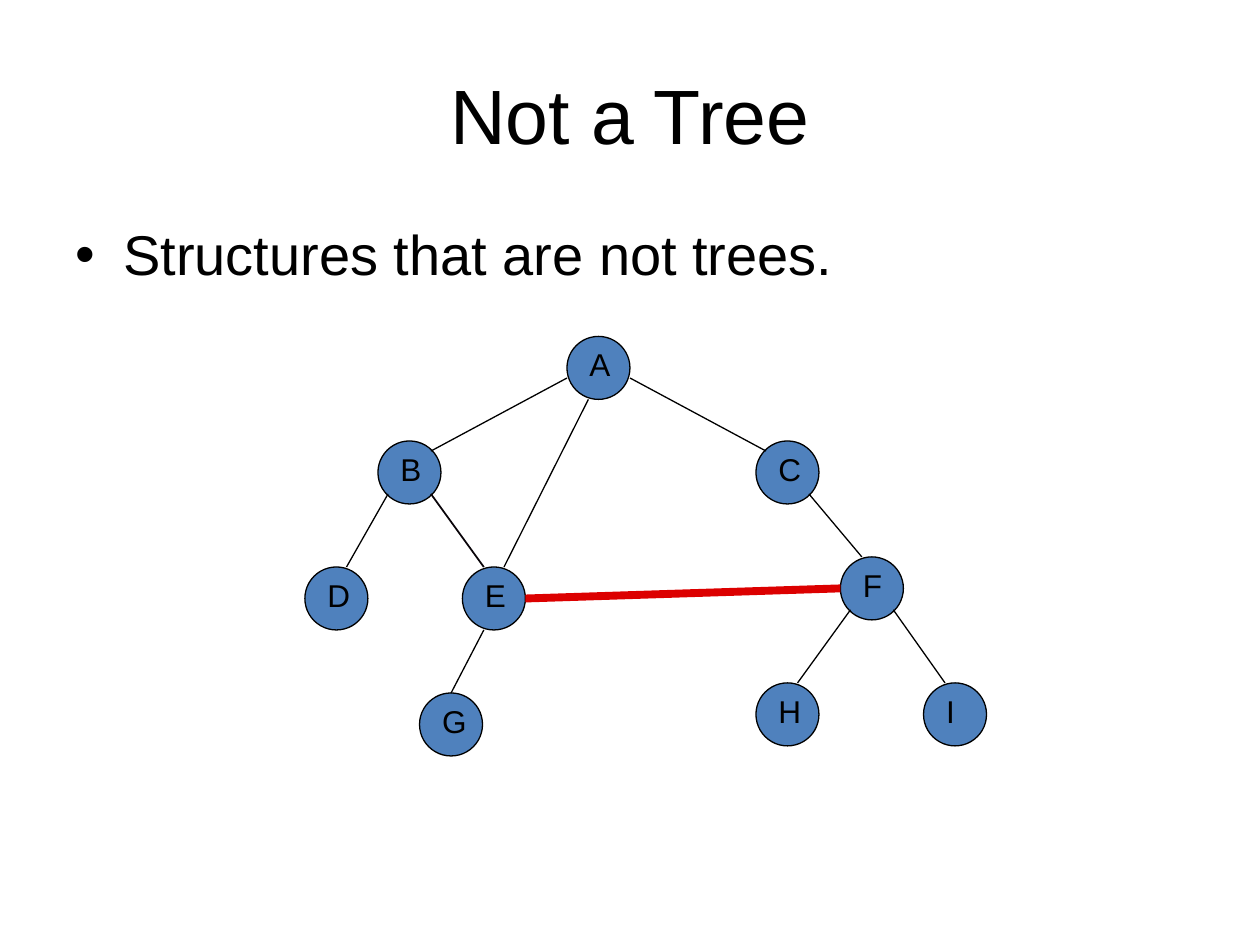
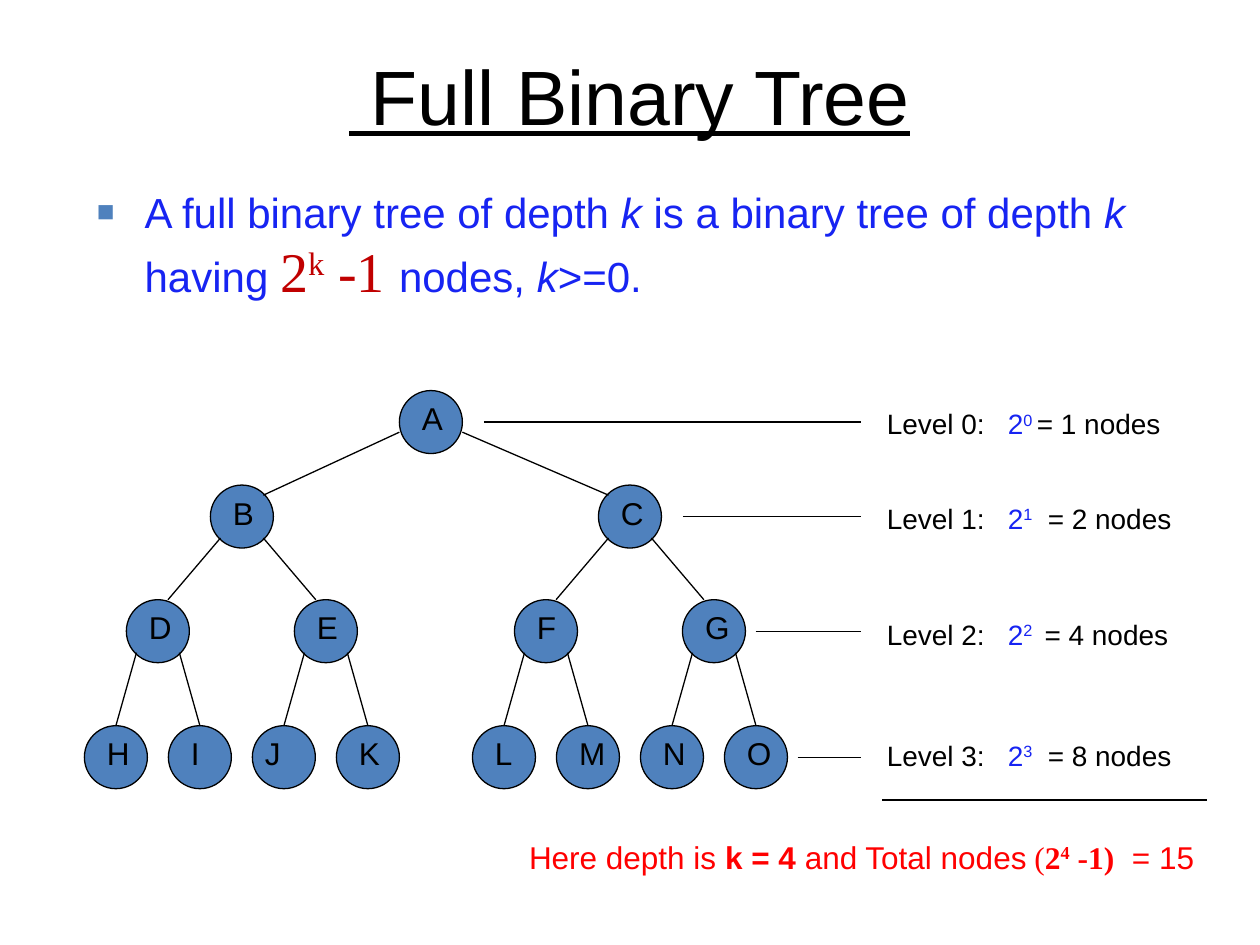
"""Build two slides on trees: a structure that is not a tree, and a full binary tree."""
from lxml.etree import SubElement
from pptx import Presentation
from pptx.dml.color import RGBColor
from pptx.enum.shapes import MSO_CONNECTOR, MSO_SHAPE
from pptx.enum.text import MSO_ANCHOR, PP_ALIGN
from pptx.oxml.ns import qn
from pptx.util import Inches, Pt

BLACK = RGBColor(0, 0, 0)
STEEL = RGBColor(0x4F, 0x81, 0xBD)
BLUE = RGBColor(0x17, 0x24, 0xF2)
WINE = RGBColor(0xC0, 0, 0)
RED = RGBColor(0xFF, 0, 0)
CRIMSON = RGBColor(0xDC, 0, 0)
INK = RGBColor(0x09, 0x04, 0x09)
SANS, SERIF = "Arial", "Times New Roman"
SIZE = 0.5

PORTS = {
    "side": (0.25, 0.08),
    "low": (0.17, 0.17),
    "foot": (0.08, 0.25),
    "high": (0.17, -0.17),
    "head": (0.08, -0.25),
    "top": (0, -0.25),
}

GRAPH = {
    "A": (4.5, 2.67), "B": (3, 3.5), "C": (6, 3.5),
    "D": (2.42, 4.5), "E": (3.67, 4.5), "F": (6.67, 4.42),
    "G": (3.33, 5.5), "H": (6, 5.42), "I": (7.33, 5.42),
}
LINKS = [
    ("A", "B", "side", "high"), ("A", "C", "side", "high"),
    ("B", "D", "low", "head"), ("B", "E", "low", "head"),
    ("E", "G", "foot", "top"), ("C", "F", "low", "head"),
    ("F", "H", "low", "head"), ("F", "I", "low", "head"),
    ("A", "E", "foot", "head"),
]
POINT = [("Structures that are not trees.", {"size": 32})]

ROWS = ["A", "BC", "DEFG", "HIJKLMNO"]
TOPS = [3.1, 3.85, 4.76, 5.76]
ROOT = 3.17
STARTS = [0.67, 3.75]
STEP = 2 / 3
ROUTES = [("side", "high"), ("low", "head"), ("low", "top")]
LEVELS = [
    ("0 ", "= 1 nodes", 3.18, 2.39, 0.17),
    ("1", "  = 2 nodes", 3.93, 2.46, 0.17),
    ("2 ", " = 4 nodes", 4.85, 2.46, 0.08),
    ("3", "  = 8 nodes", 5.81, 2.46, 0.08),
]

PLAIN = {"size": 24, "color": BLUE}
SLANT = {**PLAIN, "italic": True}
POWER = {"size": 32, "color": WINE, "face": SERIF}
RULE = [
    ("A full binary tree of depth ", PLAIN), ("k", SLANT),
    (" is a binary tree of depth ", PLAIN), ("k", SLANT),
    (" having ", PLAIN), ("2", POWER), ("k", {**POWER, "sup": True}),
    (" -1 ", POWER), ("nodes, ", PLAIN), ("k", SLANT), (">=0.", PLAIN),
]
NOTE = {"size": 18, "color": RED}
SUM = {**NOTE, "face": SERIF, "bold": True}
TOTAL = [
    ("Here depth is ", NOTE), ("k = 4 ", {**NOTE, "bold": True}),
    ("and Total nodes", NOTE), (" (", {**NOTE, "face": SERIF}),
    ("2", SUM), ("4", {**SUM, "sup": True}), (" -1)", SUM), ("  = 15", NOTE),
]


def add_run(para, text, size=18, color=BLACK, face=SANS, bold=False,
            italic=False, line=False, sup=False):
    run = para.add_run()
    run.text = text
    font = run.font
    font.size, font.name, font.color.rgb = Pt(size), face, color
    font.bold, font.italic, font.underline = bold, italic, line
    if sup:
        run._r.get_or_add_rPr().set("baseline", "30000")


def add_text(slide, box, runs, wrap=True):
    frame = slide.shapes.add_textbox(*map(Inches, box)).text_frame
    frame.word_wrap = wrap
    for text, style in runs:
        add_run(frame.paragraphs[0], text, **style)
    return frame


def add_title(slide, text, top, line=False):
    frame = add_text(slide, (0.5, top, 9, 1), [(text, {"size": 44, "line": line})])
    frame.vertical_anchor = MSO_ANCHOR.MIDDLE
    frame.paragraphs[0].alignment = PP_ALIGN.CENTER


def add_bullet(para, mark, color, scale=100):
    props = para._p.get_or_add_pPr()
    props.set("marL", str(Inches(0.38)))
    props.set("indent", str(-Inches(0.38)))
    tint = SubElement(props, qn("a:buClr"))
    SubElement(tint, qn("a:srgbClr")).set("val", str(color))
    SubElement(props, qn("a:buSzPct")).set("val", str(scale * 1000))
    SubElement(props, qn("a:buFont")).set("typeface", SANS)
    SubElement(props, qn("a:buChar")).set("char", mark)


def add_line(slide, start, end, color=BLACK, width=0.75):
    line = slide.shapes.add_connector(
        MSO_CONNECTOR.STRAIGHT, *map(Inches, (*start, *end)))
    line.line.color.rgb, line.line.width = color, Pt(width)
    SubElement(line._element.spPr, qn("a:effectLst"))


def add_node(slide, name, left, top):
    disc = slide.shapes.add_shape(
        MSO_SHAPE.OVAL, *map(Inches, (left, top, SIZE, SIZE)))
    disc.shadow.inherit = False
    disc.fill.solid()
    disc.fill.fore_color.rgb = STEEL
    disc.line.color.rgb, disc.line.width = BLACK, Pt(0.75)
    shift = 0 if name == "J" else 0.08
    add_text(slide, (left + shift, top + 0.02, 0.42, 0.4), [(name, {})])


def port(spot, kind, sign):
    across, down = PORTS[kind]
    return spot[0] + SIZE / 2 + sign * across, spot[1] + SIZE / 2 + down


def add_graph(slide, nodes, links):
    for name, spot in nodes.items():
        add_node(slide, name, *spot)
    for up, down, leave, reach in links:
        sign = 1 if nodes[down][0] > nodes[up][0] else -1
        thick = (INK, 1) if (up, down, leave) == ("B", "E", "low") and nodes is GRAPH else ()
        add_line(slide, port(nodes[up], leave, sign),
                 port(nodes[down], reach, -sign), *thick)


def full_tree():
    lefts = [start + i * STEP for start in STARTS for i in range(4)]
    nodes, links = {}, []
    for depth in reversed(range(len(ROWS))):
        row = ROWS[depth]
        nodes.update({name: (x, TOPS[depth]) for name, x in zip(row, lefts)})
        lefts = [sum(pair) / 2 for pair in zip(lefts[::2], lefts[1::2])]
        if depth:
            links += [(ROWS[depth - 1][i // 2], name, *ROUTES[depth - 1])
                      for i, name in enumerate(row)]
    nodes["A"] = (ROOT, TOPS[0])
    return nodes, links


def not_tree(slide):
    add_title(slide, "Not a Tree", 0.4)
    para = add_text(slide, (0.5, 1.75, 9, 0.58), POINT).paragraphs[0]
    para.line_spacing, para.space_before = 0.9, Pt(8)
    add_bullet(para, "•", BLACK)
    add_graph(slide, GRAPH, LINKS)
    (left, top), (right, base) = GRAPH["E"], GRAPH["F"]
    add_line(slide, (left + SIZE, top + SIZE / 2), (right, base + SIZE / 2), CRIMSON, 4.5)


def full_slide(slide):
    add_title(slide, " Full Binary Tree", 0.25, line=True)
    nodes, links = full_tree()
    add_graph(slide, nodes, links)
    for depth, (power, count, top, width, gap) in enumerate(LEVELS):
        blue = {"size": 16, "color": BLUE}
        add_text(slide, (6.94, top, width, 0.37), [
            (f"Level {depth}:   ", {"size": 16}), ("2", blue),
            (power, {**blue, "sup": True}), (count, {"size": 16})], wrap=False)
        left, peak = nodes[ROWS[depth][-1]]
        mid = peak + SIZE / 2
        add_line(slide, (left + SIZE + gap, mid), (6.83, mid))
    para = add_text(slide, (0.67, 1.43, 8.67, 1.04), RULE).paragraphs[0]
    para.space_before = Pt(6)
    add_bullet(para, "■", STEEL, 70)
    add_line(slide, (7, 6.35), (9.58, 6.35))
    add_text(slide, (4.1, 6.6, 5.51, 0.4), TOTAL, wrap=False)


def main():
    deck = Presentation()
    deck.slide_width, deck.slide_height = Inches(10), Inches(7.5)
    for build in (not_tree, full_slide):
        build(deck.slides.add_slide(deck.slide_layouts[6]))
    deck.save("out.pptx")


if __name__ == "__main__":
    main()
